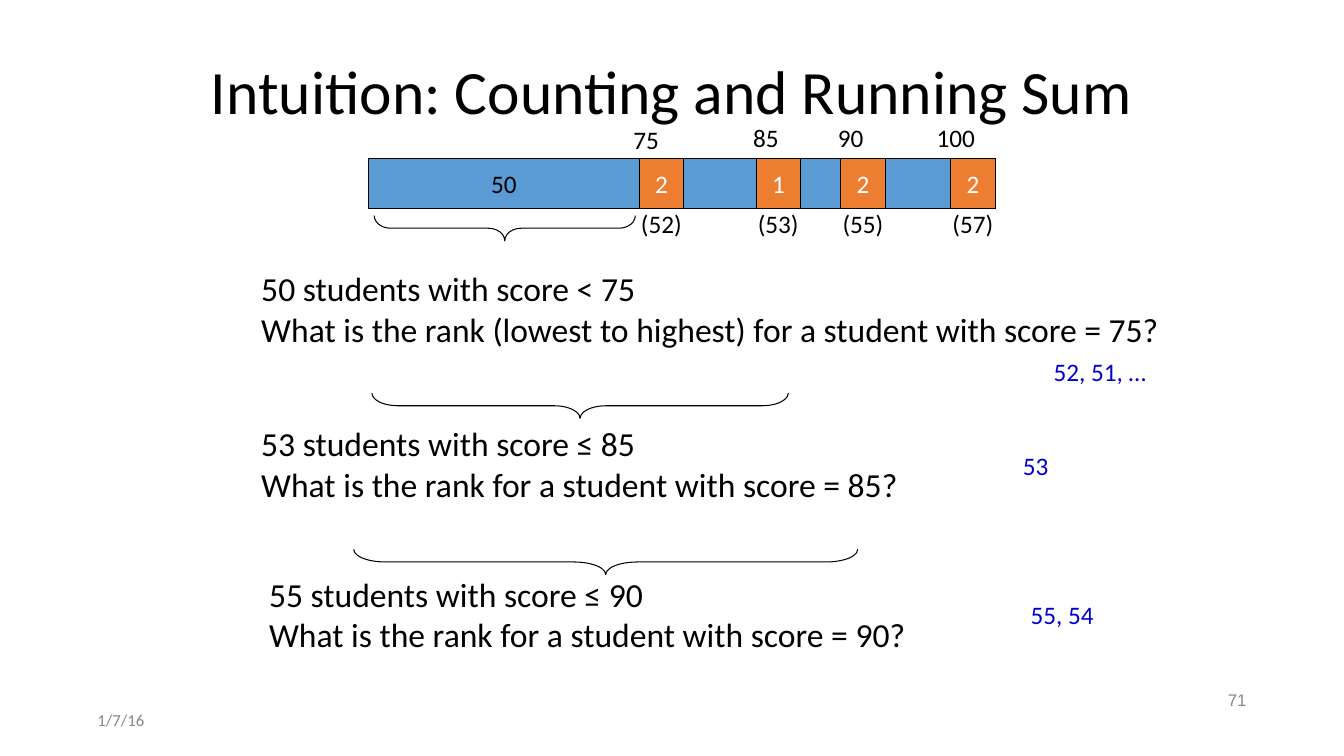
from pptx import Presentation
from pptx.dml.color import RGBColor
from pptx.enum.shapes import MSO_SHAPE
from pptx.enum.text import MSO_ANCHOR, MSO_AUTO_SIZE, PP_ALIGN
from pptx.util import Pt

RECT, BRACE = MSO_SHAPE.RECTANGLE, MSO_SHAPE.LEFT_BRACE
TOP, MIDDLE = MSO_ANCHOR.TOP, MSO_ANCHOR.MIDDLE
LEFT, CENTER, RIGHT = PP_ALIGN.LEFT, PP_ALIGN.CENTER, PP_ALIGN.RIGHT
FIT = MSO_AUTO_SIZE.SHAPE_TO_FIT_TEXT

COLORS = {
    "text": "000000",
    "answer": "0000CC",
    "footer": "888888",
    "bar": "5B9BD5",
    "cell": "ED7D31",
    "light": "FFFFFF",
}
INSET = 3.6
BRACE_DEPTH = 18
LABEL_H = 29.2


def rgb(name):
    return RGBColor.from_string(COLORS[name])


def write(tf, lines, size, color="text", font="Calibri", align=LEFT, anchor=TOP):
    tf.margin_left = tf.margin_right = Pt(INSET)
    tf.margin_top = tf.margin_bottom = Pt(INSET)
    tf.vertical_anchor = anchor
    for i, line in enumerate(lines):
        p = tf.add_paragraph() if i else tf.paragraphs[0]
        p.text = line
        p.alignment = align
        p.font.size = Pt(size)
        p.font.name = font
        p.font.color.rgb = rgb(color)


def add_text(slide, x, y, w, h, lines, size, wrap=False, **style):
    sp = slide.shapes.add_textbox(Pt(x), Pt(y), Pt(w), Pt(h))
    tf = sp.text_frame
    tf.word_wrap = wrap
    if not wrap:
        tf.auto_size = FIT
    write(tf, lines, size, **style)
    return tf


def add_rect(slide, x, y, w, h, fill):
    sp = slide.shapes.add_shape(RECT, Pt(x), Pt(y), Pt(w), Pt(h))
    sp.shadow.inherit = False
    sp.fill.solid()
    sp.fill.fore_color.rgb = rgb(fill)
    sp.line.color.rgb = rgb("text")
    sp.line.width = Pt(0.75)
    return sp


def add_brace(slide, x, y, length):
    """Brace pointing down, with its visible top left corner at x, y."""
    turn = (length - BRACE_DEPTH) / 2
    sp = slide.shapes.add_shape(BRACE, Pt(x + turn), Pt(y - turn),
                                Pt(BRACE_DEPTH), Pt(length))
    sp.rotation = 270
    sp.adjustments[0] = length / 16 / BRACE_DEPTH
    sp.shadow.inherit = False
    sp.fill.background()
    sp.line.color.rgb = rgb("text")
    sp.line.width = Pt(0.75)


def add_title(slide, x, y, w, h, title):
    tf = add_text(slide, x, y, w, h, [title], 44, wrap=True,
                  align=CENTER, anchor=MIDDLE)
    tf.paragraphs[0].line_spacing = 0.9


def add_score_bar(slide, x, y, w, h):
    add_rect(slide, x, y, w, h, "bar")
    # Score, count, running sum, cell offset, score label offset and width
    cells = [
        ("75", "2", "(52)", 193.7, 185.8, -27.4, 26.6),
        ("85", "1", "(53)", 277.2, 271.4, -28.8, 26.6),
        ("90", "2", "(55)", 337.7, 331.9, -28.8, 26.6),
        ("100", "2", "(57)", 416.2, 402.5, -28.8, 35.3),
    ]
    for score, count, total, cell_dx, label_dx, label_dy, label_w in cells:
        sp = add_rect(slide, x + cell_dx, y, 31.7, h, "cell")
        write(sp.text_frame, [count], 18, color="light", align=CENTER, anchor=MIDDLE)
        add_text(slide, x + label_dx, y + label_dy, label_w, LABEL_H, [score], 18)
        add_text(slide, x + cell_dx - 2.5, y + 32.4, 37.4, LABEL_H, [total], 18)
    # Students below the first marked score
    add_text(slide, x + 84.2, y + INSET, 26.6, LABEL_H, ["50"], 18)
    add_brace(slide, x + 4.3, y + 41, 186.5)


def add_question(slide, x, y, w, h, lines, answer, answer_box, brace=None):
    add_text(slide, x, y, w, h, lines, 24)
    dx, dy, answer_w = answer_box
    add_text(slide, x + dx, y + dy, answer_w, LABEL_H, [answer], 18, color="answer")
    if brace:
        dx, dy, length = brace
        add_brace(slide, x + dx, y + dy, length)


def add_footer(slide, x, w, date, number):
    add_text(slide, x, 504, 216, 20.9, [date], 12, wrap=True,
             color="footer", anchor=MIDDLE)
    add_text(slide, x + w - 216, 489.6, 216, 20.9, [number], 12, wrap=True,
             color="footer", font="Arial", align=RIGHT, anchor=MIDDLE)


def main():
    prs = Presentation()
    prs.slide_width, prs.slide_height = Pt(960), Pt(540)
    slide = prs.slides.add_slide(prs.slide_layouts[6])

    add_title(slide, 66, 28.8, 828, 77, "Intuition: Counting and Running Sum")
    add_score_bar(slide, 263, 113, 448, 36)

    # Rank questions with their answers
    add_question(slide, 183, 188, 649.4, 65.5,
                 ["50 students with score < 75",
                  "What is the rank (lowest to highest) for a student with score = 75?"],
                 "52, 51, …", (566, 63.3, 74.2))
    add_question(slide, 183, 298.8, 463, 65.5,
                 ["53 students with score ≤ 85",
                  "What is the rank for a student with score = 85?"],
                 "53", (544, 19.4, 26.6), brace=(82.7, -18, 297.4))
    add_question(slide, 188.6, 406.1, 463, 65.5,
                 ["55 students with score ≤ 90",
                  "What is the rank for a student with score = 90?"],
                 "55, 54", (544, 18.7, 53.3), brace=(64.1, -13.7, 360))

    add_footer(slide, 66, 828, "1/7/16", "71")
    prs.save("out.pptx")


if __name__ == "__main__":
    main()
